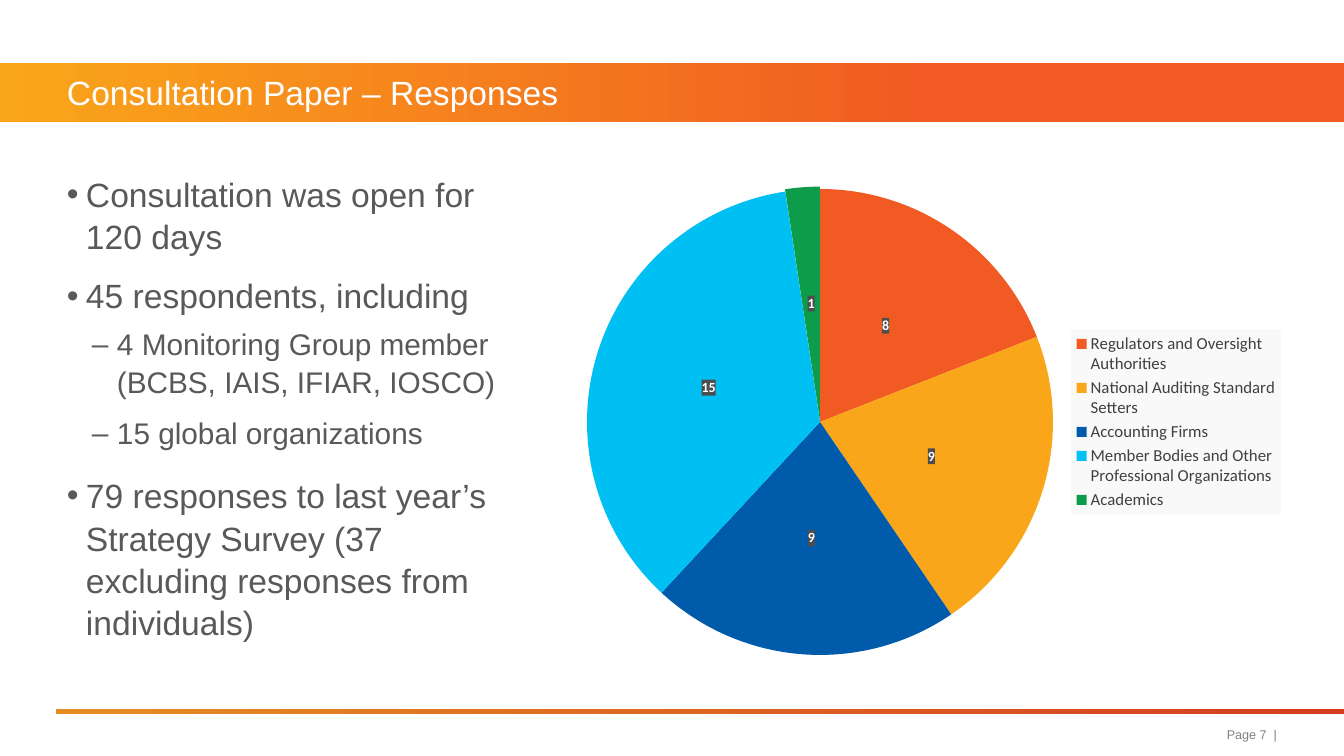
from lxml import etree
from pptx import Presentation
from pptx.chart.data import CategoryChartData
from pptx.dml.color import RGBColor
from pptx.enum.chart import XL_CHART_TYPE as CHART, XL_LABEL_POSITION as LABEL, XL_LEGEND_POSITION as LEGEND
from pptx.enum.shapes import MSO_SHAPE as SHAPE
from pptx.enum.text import MSO_ANCHOR as ANCHOR, MSO_AUTO_SIZE as AUTOSIZE, PP_ALIGN as ALIGN
from pptx.oxml import parse_xml
from pptx.oxml.ns import nsdecls, qn
from pptx.util import Pt

COLORS = {
    "white": "FFFFFF", "body": "595959", "page": "808080", "legend": "404040",
    "legend_back": "F9F9F9", "label_back": "4D4D4D",
    "amber": "FAA61A", "orange": "F15A22", "blue": "005BAA", "cyan": "00C0F3",
    "green": "0D9C4A", "rule_start": "E58D23", "rule_end": "D53D20",
}
TITLE = "Consultation Paper – Responses"
PAGE = "Page 7  |"
# text, level, space after in points
POINTS = [
    ("Consultation was open for 120 days", 0, 0),
    ("45 respondents, including", 0, 0),
    ("4 Monitoring Group member (BCBS, IAIS, IFIAR, IOSCO)", 1, 4),
    ("15 global organizations", 1, 4),
    ("79 responses to last year’s Strategy Survey (37 excluding responses from individuals)", 0, 4),
]
# bullet, left margin px, hanging px, size, space before in points
LEVELS = [("•", 19, 19, 24, 12), ("–", 50, 25, 21.3, 6)]
RESPONSES = [
    ("Regulators and Oversight Authorities", 8, "orange"),
    ("National Auditing Standard Setters", 9, "amber"),
    ("Accounting Firms", 9, "blue"),
    ("Member Bodies and Other Professional Organizations", 15, "cyan"),
    ("Academics", 1, "green"),
]

# left, top, width, height in px
BAND = (0, 63, 1344, 59)
RULE = (56, 709, 1288, 5)
TITLE_BOX = (67, 63, 1210, 59)
BODY_BOX = (67, 172, 462, 499)
CHART_BOX = (568, 172, 720, 499)
PIE_BOX = (587, 189, 466, 466)
LEGEND_BOX = (1071, 330, 210, 184)
PAGE_BOX = (1047, 718, 230, 33)

EMU_PER_PX = 914400 / 100.8


def px(length):
    return round(length * EMU_PER_PX)


def rgb(name):
    return RGBColor.from_string(COLORS[name])


def place(shape, box):
    shape.left, shape.top, shape.width, shape.height = map(px, box)


def set_font(font, size, color, face="Arial", bold=False):
    font.size, font.name, font.bold = Pt(size), face, bold
    font.color.rgb = rgb(color)


def write(paragraph, text, size, color, align=ALIGN.LEFT, before=0, after=0, spacing=1.0):
    paragraph.text = text
    paragraph.alignment = align
    paragraph.space_before, paragraph.space_after = Pt(before), Pt(after)
    paragraph.line_spacing = spacing
    set_font(paragraph.font, size, color)
    set_font(paragraph.runs[0].font, size, color)


def prepare(frame, anchor):
    frame.word_wrap, frame.auto_size = True, AUTOSIZE.NONE
    frame.vertical_anchor = anchor
    frame.margin_left = frame.margin_right = frame.margin_top = frame.margin_bottom = 0
    return frame


def add_gradient_bar(slide, box, start, end, end_at):
    """Add a left-to-right gradient bar behind everything else."""
    bar = slide.shapes.add_shape(SHAPE.RECTANGLE, *map(px, box))
    bar.shadow.inherit = False
    bar.line.fill.background()
    bar.fill.gradient()
    bar.fill.gradient_angle = 0
    for stop, color, position in zip(bar.fill.gradient_stops, (start, end), (0, end_at)):
        stop.color.rgb, stop.position = rgb(color), position
    tree = bar._element.getparent()
    tree.insert(2, bar._element)


def add_bullet(paragraph, mark, margin, hanging):
    properties = paragraph._p.get_or_add_pPr()
    properties.set("marL", str(px(margin)))
    properties.set("indent", str(-px(hanging)))
    etree.SubElement(properties, qn("a:buFont")).set("typeface", "Arial")
    etree.SubElement(properties, qn("a:buChar")).set("char", mark)


def set_layout(parent, index, box, inner=False):
    """Fix a chart part at a px box, as fractions of the chart."""
    for old in parent.findall(qn("c:layout")):
        parent.remove(old)
    left, top, width, height = CHART_BOX
    fractions = zip("xywh", ((box[0] - left) / width, (box[1] - top) / height,
                             box[2] / width, box[3] / height))
    target = '<c:layoutTarget val="inner"/>' if inner else ""
    modes = '<c:xMode val="edge"/><c:yMode val="edge"/>'
    sizes = "".join(f'<c:{key} val="{value:.4f}"/>' for key, value in fractions)
    parent.insert(index, parse_xml(
        f'<c:layout {nsdecls("c")}><c:manualLayout>{target}{modes}{sizes}</c:manualLayout></c:layout>'))


def add_background(part, color):
    """Fill behind a chart part whose font is already set."""
    part.find(qn("c:txPr")).addprevious(parse_xml(
        f'<c:spPr {nsdecls("c", "a")}><a:solidFill><a:srgbClr val="{COLORS[color]}"/>'
        '</a:solidFill></c:spPr>'))


def add_pie(slide):
    data = CategoryChartData()
    data.categories = [name for name, _, _ in RESPONSES]
    data.add_series("Series 1", [count for _, count, _ in RESPONSES])
    chart = slide.shapes.add_chart(CHART.PIE, *map(px, CHART_BOX), data).chart
    chart.has_title = False
    chart.font.size, chart.font.name = Pt(10), "Calibri"
    plot = chart.plots[0]
    plot.vary_by_categories = True
    series = plot.series[0]
    for index, (_, _, color) in enumerate(RESPONSES):
        fill = series.points[index].format.fill
        fill.solid()
        fill.fore_color.rgb = rgb(color)
    academics = series._element.findall(qn("c:dPt"))[-1]
    academics.find(qn("c:spPr")).addprevious(
        parse_xml(f'<c:explosion {nsdecls("c")} val="1"/>'))

    labels = series.data_labels
    labels.show_value, labels.position = True, LABEL.CENTER
    set_font(labels.font, 10, "white", "Calibri", True)
    add_background(labels._element, "label_back")

    chart.has_legend = True
    legend = chart.legend
    legend.position, legend.include_in_layout = LEGEND.RIGHT, False
    set_font(legend.font, 12, "legend", "Calibri")
    add_background(legend._element, "legend_back")
    set_layout(legend._element, 1, LEGEND_BOX)
    set_layout(chart._chartSpace.find(".//" + qn("c:plotArea")), 0, PIE_BOX, inner=True)


def main():
    deck = Presentation()
    deck.slide_width, deck.slide_height = px(1344), px(756)
    slide = deck.slides.add_slide(deck.slide_layouts[1])
    add_gradient_bar(slide, RULE, "rule_start", "rule_end", 1)
    add_gradient_bar(slide, BAND, "amber", "orange", 0.7)

    title, body = slide.shapes.title, slide.placeholders[1]
    place(title, TITLE_BOX)
    write(prepare(title.text_frame, ANCHOR.MIDDLE).paragraphs[0], TITLE, 24, "white")

    place(body, BODY_BOX)
    frame = prepare(body.text_frame, ANCHOR.TOP)
    for index, (text, level, after) in enumerate(POINTS):
        paragraph = frame.add_paragraph() if index else frame.paragraphs[0]
        mark, margin, hanging, size, before = LEVELS[level]
        paragraph.level = level
        add_bullet(paragraph, mark, margin, hanging)
        write(paragraph, text, size, "body", before=before if index else 0,
              after=after, spacing=1.05)

    add_pie(slide)
    page = slide.shapes.add_textbox(*map(px, PAGE_BOX))
    write(prepare(page.text_frame, ANCHOR.MIDDLE).paragraphs[0], PAGE, 9, "page", ALIGN.RIGHT)
    deck.save("out.pptx")


if __name__ == "__main__":
    main()
